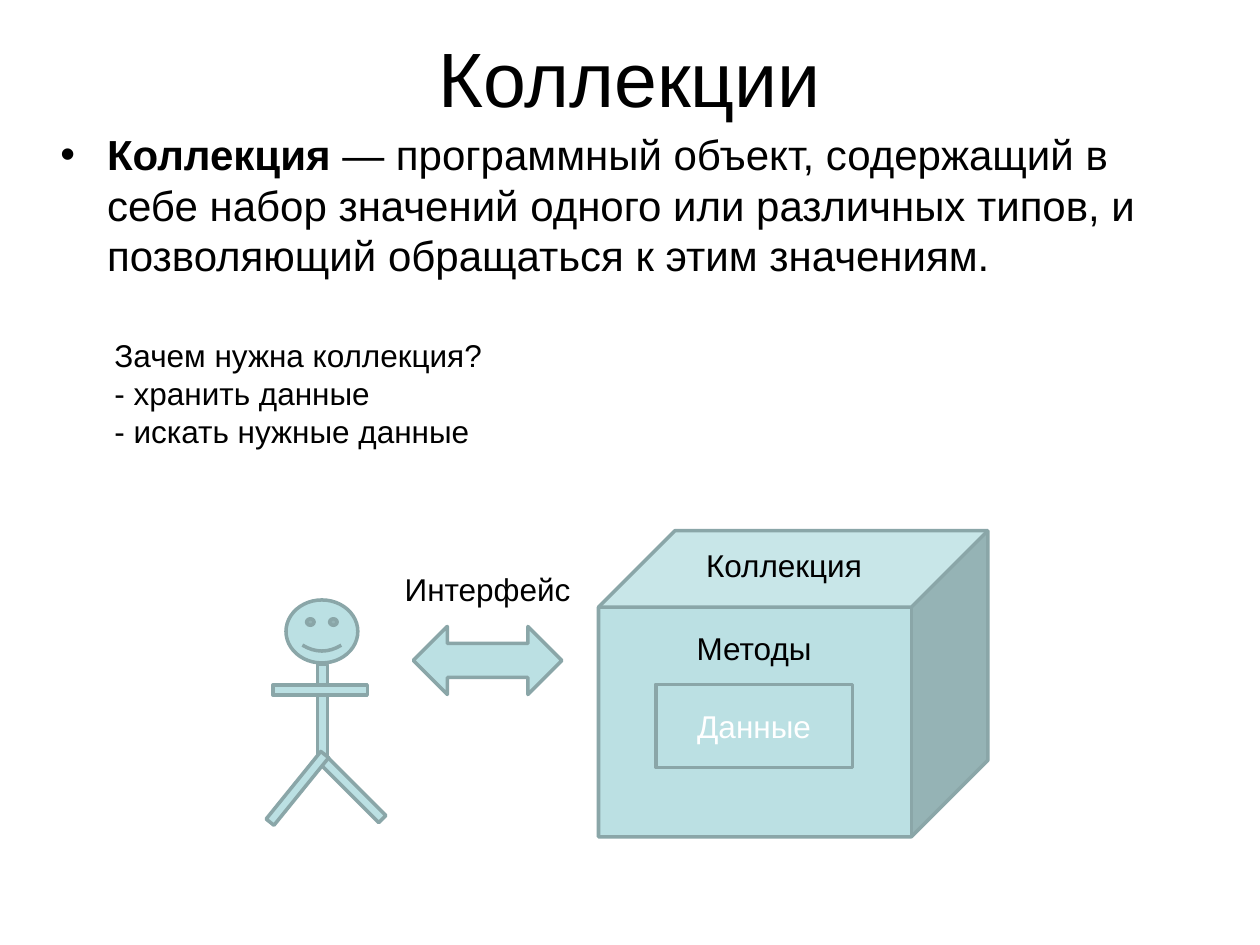
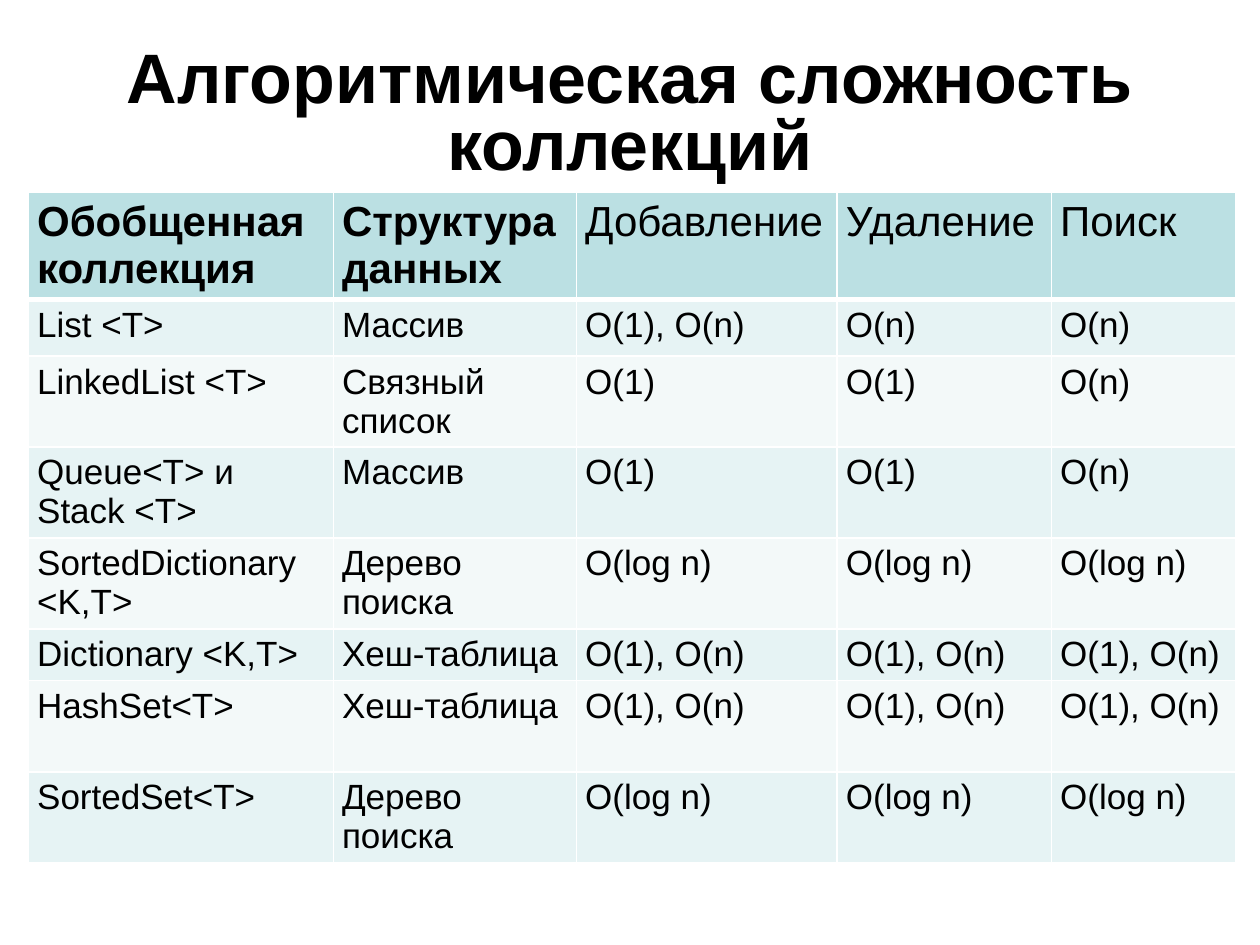
from collections import namedtuple

from lxml import etree
from pptx import Presentation
from pptx.dml.color import RGBColor
from pptx.enum.shapes import MSO_SHAPE
from pptx.enum.text import MSO_ANCHOR, PP_ALIGN
from pptx.oxml.ns import qn
from pptx.util import Inches, Pt

CUBE, FACE = MSO_SHAPE.CUBE, MSO_SHAPE.SMILEY_FACE
RECT, ARROW = MSO_SHAPE.RECTANGLE, MSO_SHAPE.UP_DOWN_ARROW
LEFT, CENTER = PP_ALIGN.LEFT, PP_ALIGN.CENTER
TOP, MIDDLE = MSO_ANCHOR.TOP, MSO_ANCHOR.MIDDLE

BLACK = RGBColor(0x00, 0x00, 0x00)
WHITE = RGBColor(0xFF, 0xFF, 0xFF)
TEAL = RGBColor(0xBB, 0xE0, 0xE3)
EDGE = RGBColor(0x8A, 0xA6, 0xA8)
BANDS = RGBColor(0xF3, 0xF9, 0xF9), RGBColor(0xE6, 0xF3, 0xF4)
FONT = "Arial"

# The slide is a grid of 100 columns by 75 rows of equal cells.
COLS, ROWS = 100, 75
CELL = Inches(0.1)

Box = namedtuple("Box", "x y w h")


def grid(count):
    return round(count * CELL)


def within(box, x, y, w, h):
    """Box whose corner is counted from the corner of another box."""
    return Box(box.x + x, box.y + y, w, h)


def add_run(para, text, size, color=BLACK, bold=False):
    run = para.add_run()
    run.text = text
    font = run.font
    font.name, font.size, font.bold = FONT, Pt(size), bold
    font.color.rgb = color


def add_text(shapes, box, lines, size=18, align=LEFT, anchor=TOP, bold=False):
    frame = shapes.add_textbox(*map(grid, box)).text_frame
    frame.word_wrap = True
    frame.vertical_anchor = anchor
    for i, line in enumerate(lines):
        para = frame.add_paragraph() if i else frame.paragraphs[0]
        para.alignment = align
        add_run(para, line, size, bold=bold)
    return frame


def add_title(slide, top, high, text, size, bold=False):
    box = Box(5, top, COLS - 10, high)
    frame = add_text(slide.shapes, box, [text], size, CENTER, MIDDLE, bold)
    return frame.paragraphs[0]


def add_part(shapes, kind, box, turn=0):
    part = shapes.add_shape(kind, *map(grid, box))
    part.shadow.inherit = False
    part.rotation = turn
    part.fill.solid()
    part.fill.fore_color.rgb = TEAL
    part.line.color.rgb = EDGE
    part.line.width = Pt(2)
    return part


def add_lead(slide, box):
    """Definition with a bullet and a hanging indent."""
    frame = add_text(slide.shapes, box, [])
    para = frame.paragraphs[0]
    para.space_before = Pt(5.6)
    add_run(para, "Коллекция ", 24, bold=True)
    add_run(para, "— программный объект, содержащий в себе набор значений "
            "одного или различных типов, и позволяющий обращаться к этим "
            "значениям.", 24)
    props = para._p.get_or_add_pPr()
    props.set("marL", str(Inches(0.38)))
    props.set("indent", str(Inches(-0.37)))
    etree.SubElement(props, qn("a:buFont"), typeface=FONT)
    etree.SubElement(props, qn("a:buChar"), char="•")


def draw_man(shapes, box):
    add_part(shapes, FACE, within(box, 0, 0, 5.7, 5))
    add_part(shapes, RECT, within(box, 2.5, 5.1, 0.8, 7.5))
    add_part(shapes, RECT, within(box, 2.3, 3.4, 0.8, 7.5), 90)
    for x, turn in ((4.8, 135), (0.5, 219)):
        add_part(shapes, RECT, within(box, x, 11.5, 0.8, 6.9), turn)


def draw_link(shapes, box):
    add_part(shapes, ARROW, within(box, 6.1, 1.7, 5.4, 11.8), 90)
    add_text(shapes, within(box, 0, -0.07, box.w, 4), ["Интерфейс"],
             align=CENTER)


def draw_store(shapes, box):
    add_text(shapes, within(box, 7.55, 0.7, 17.1, 4), ["Коллекция"])
    data = add_part(shapes, RECT, within(box, 4.55, 12.2, 15.6, 6.6))
    data.text_frame.vertical_anchor = MIDDLE
    para = data.text_frame.paragraphs[0]
    para.alignment = CENTER
    add_run(para, "Данные", 18, WHITE)


def draw_scene(slide, box):
    """User, interface and the collection that holds the data."""
    shapes = slide.shapes.add_group_shape().shapes
    store = within(box, 24.8, 0, 30.9, 24.3)
    add_part(shapes, CUBE, store)
    draw_man(shapes, within(box, 0, 5.5, 5.7, 18.4))
    draw_link(shapes, within(box, 7.2, 2.7, 17.6, 13.5))
    draw_store(shapes, store)
    add_text(slide.shapes, within(store, 1.8, 7.3, 21.1, 4), ["Методы"],
             align=CENTER)


def set_edges(cell, **widths):
    props = cell._tc.get_or_add_tcPr()
    for side in "LRTB":
        line = etree.SubElement(props, qn("a:ln" + side),
                                w=str(Pt(widths.get(side, 0.96))))
        fill = etree.SubElement(line, qn("a:solidFill"))
        etree.SubElement(fill, qn("a:srgbClr"), val=str(WHITE))


def fill_cell(cell, text, row, col):
    head = row == 0
    thick = {0: {"B": 3}, 1: {"T": 3}}
    set_edges(cell, **thick.get(row, {}))
    cell.fill.solid()
    cell.fill.fore_color.rgb = TEAL if head else BANDS[row % 2]
    cell.margin_left = cell.margin_right = Inches(0.07)
    cell.margin_top, cell.margin_bottom = Inches(0.05), 0
    para = cell.text_frame.paragraphs[0]
    add_run(para, text, 24 if head else 20, bold=head and col < 2)


def add_grid(slide, left, top, wides, highs, rows):
    box = Box(left, top, sum(wides), sum(highs))
    table = slide.shapes.add_table(len(highs), len(wides),
                                   *map(grid, box)).table
    for col, wide in zip(table.columns, wides):
        col.width = grid(wide)
    for row, high in zip(table.rows, highs):
        row.height = grid(high)
    for r, row in enumerate(rows):
        for c, text in enumerate(row):
            fill_cell(table.cell(r, c), text, r, c)


def make_intro(slide):
    add_title(slide, 0, 12.2, "Коллекции", 44)
    add_lead(slide, Box(3.72, 9.72, 92.4, 14.6))
    draw_scene(slide, Box(22.7, 42.12, 55.65, 24.3))
    add_text(slide.shapes, Box(8.1, 26.2, 88.9, 13.1),
             ["Зачем нужна коллекция?", "- хранить данные",
              "- искать нужные данные"])


def make_costs(slide):
    title = add_title(slide, 3, 12.5, "Алгоритмическая сложность коллекций",
                      40, True)
    title.line_spacing = 0.8
    both, log = "О(1), О(n)", "O(log n)"
    rows = [
        ("Обобщенная коллекция", "Структура данных", "Добавление",
         "Удаление", "Поиск"),
        ("List <T>", "Массив", both, "О(n)", "О(n)"),
        ("LinkedList <T>", "Связный список", "O(1)", "О(1)", "О(n)"),
        ("Queue<T> и Stack <T>", "Массив", "O(1)", "О(1)", "О(n)"),
        ("SortedDictionary <K,T>", "Дерево поиска", log, log, log),
        ("Dictionary <K,T>", "Хеш-таблица", both, both, both),
        ("HashSet<T>", "Хеш-таблица", both, both, both),
        ("SortedSet<T>", "Дерево поиска", log, log, log),
    ]
    add_grid(slide, 2.25, 15.25, (24.2, 19.3, 20.7, 17, 14.6),
             (8.4, 4.5, 7.22, 7.22, 7.22, 4.1, 7.25, 7.25), rows)


def main():
    deck = Presentation()
    deck.slide_width, deck.slide_height = grid(COLS), grid(ROWS)
    for make in (make_intro, make_costs):
        make(deck.slides.add_slide(deck.slide_layouts[6]))
    deck.save("out.pptx")


if __name__ == "__main__":
    main()
